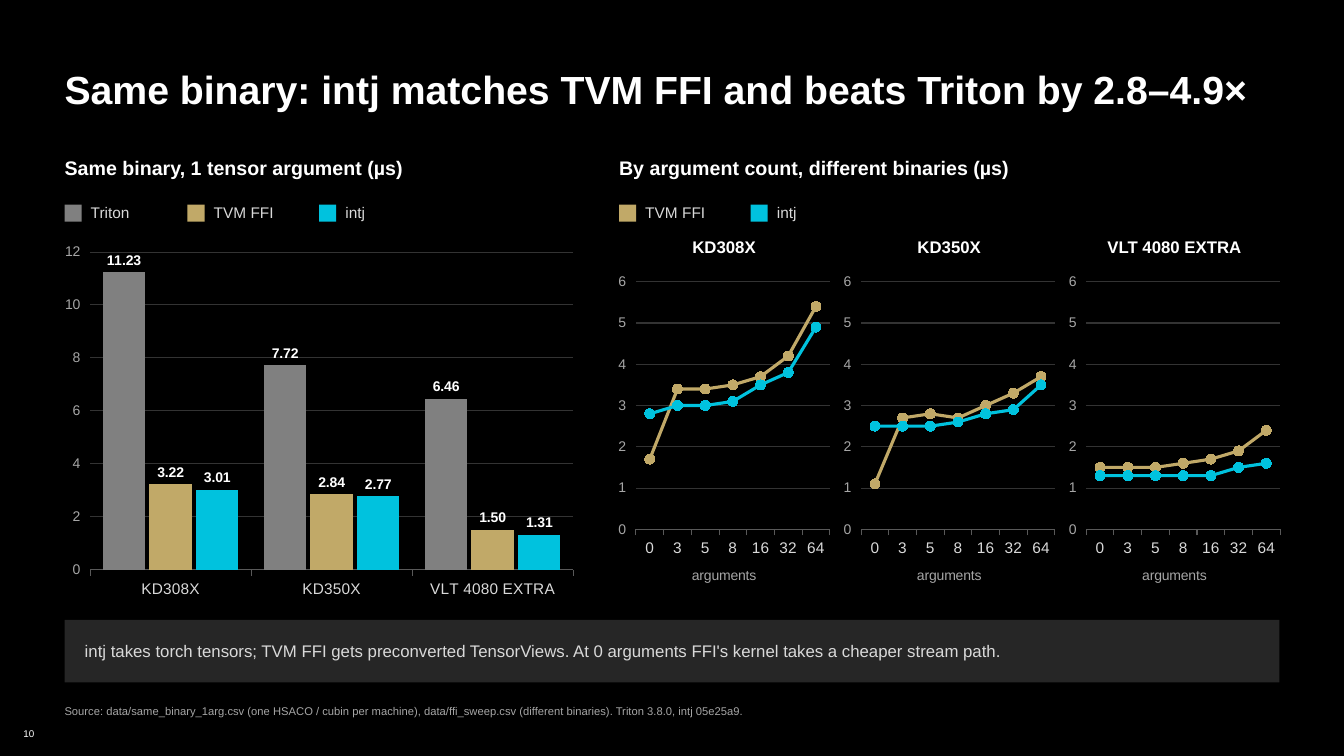
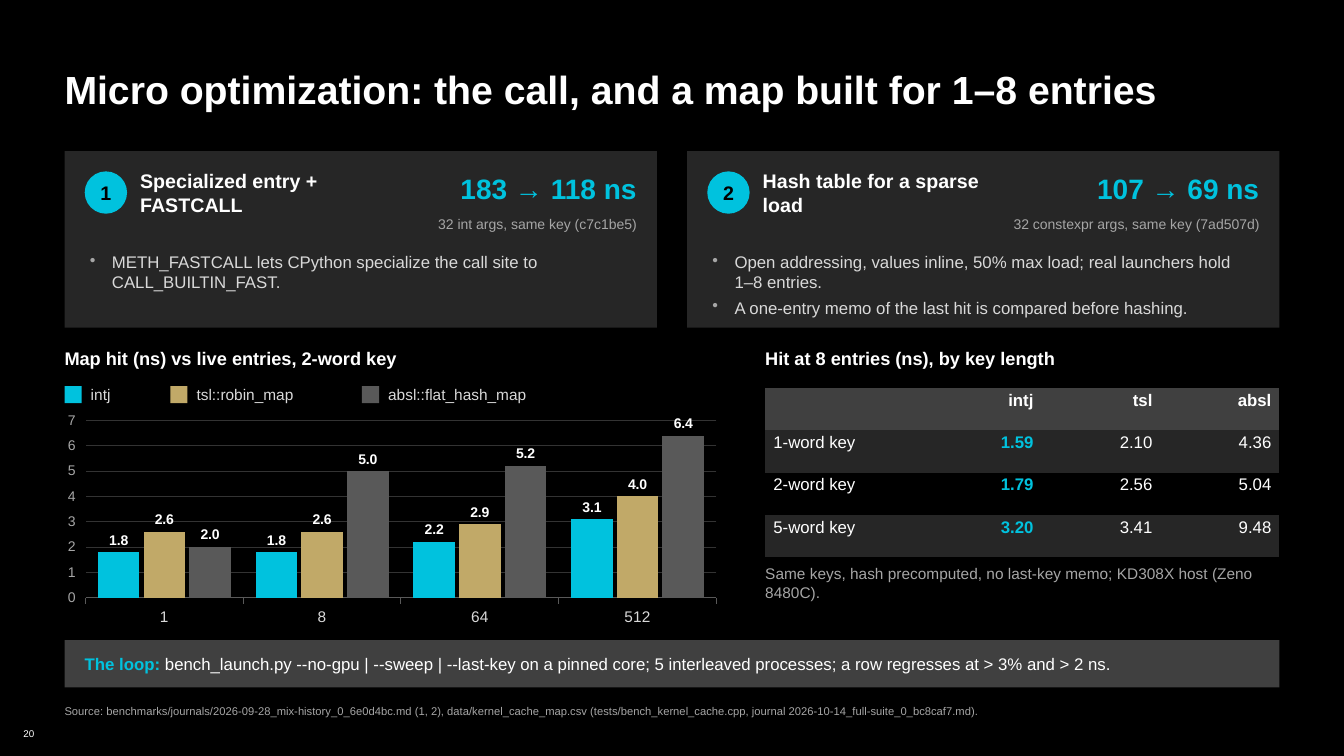
from lxml import etree
from pptx import Presentation
from pptx.chart.data import CategoryChartData
from pptx.dml.color import RGBColor
from pptx.enum.chart import XL_CHART_TYPE, XL_LABEL_POSITION, XL_MARKER_STYLE, XL_TICK_MARK
from pptx.enum.shapes import MSO_SHAPE
from pptx.enum.text import MSO_ANCHOR, PP_ALIGN
from pptx.oxml.ns import qn
from pptx.util import Pt

LEFT, CENTER, RIGHT = PP_ALIGN.LEFT, PP_ALIGN.CENTER, PP_ALIGN.RIGHT
TOP, MID = MSO_ANCHOR.TOP, MSO_ANCHOR.MIDDLE
RECT, OVAL = MSO_SHAPE.RECTANGLE, MSO_SHAPE.OVAL
BARS, LINES = XL_CHART_TYPE.COLUMN_CLUSTERED, XL_CHART_TYPE.LINE_MARKERS
OUT, ABOVE = XL_TICK_MARK.OUTSIDE, XL_LABEL_POSITION.OUTSIDE_END
DOT = XL_MARKER_STYLE.CIRCLE

PX = 9144  # 100 px to the inch
FONT = "Arial"
BLACK, WHITE, LIGHT, MUTED = "000000", "FFFFFF", "D9D9D9", "A6A6A6"
PANEL, HEAD, GRID, DARK = "262626", "404040", "333333", "595959"
GRAY, GOLD, CYAN = "808080", "C1A968", "00C2DE"
EDGE, WIDE, INSET = 64, 1205, 20

# Slide 10
SAME = {
    "cats": ["KD308X", "KD350X", "VLT 4080 EXTRA"],
    "rows": [
        ("Triton", GRAY, [11.23, 7.72, 6.46]),
        ("TVM FFI", GOLD, [3.22, 2.84, 1.5]),
        ("intj", CYAN, [3.01, 2.77, 1.31]),
    ],
}
COUNTS = ["0", "3", "5", "8", "16", "32", "64"]
SWEEP_KEYS = [("TVM FFI", GOLD), ("intj", CYAN)]
SWEEPS = [
    ("KD308X", [1.7, 3.4, 3.4, 3.5, 3.7, 4.2, 5.4], [2.8, 3, 3, 3.1, 3.5, 3.8, 4.9]),
    ("KD350X", [1.1, 2.7, 2.8, 2.7, 3, 3.3, 3.7], [2.5, 2.5, 2.5, 2.6, 2.8, 2.9, 3.5]),
    ("VLT 4080 EXTRA", [1.5, 1.5, 1.5, 1.6, 1.7, 1.9, 2.4], [1.3, 1.3, 1.3, 1.3, 1.3, 1.5, 1.6]),
]
NOTE = ("intj takes torch tensors; TVM FFI gets preconverted TensorViews. "
        "At 0 arguments FFI's kernel takes a cheaper stream path.")
SAME_SOURCE = ("Source: data/same_binary_1arg.csv (one HSACO / cubin per machine), "
               "data/ffi_sweep.csv (different binaries). Triton 3.8.0, intj 05e25a9.")

# Slide 20
CARDS = [
    ("Specialized entry + FASTCALL", "183 → 118 ns", "32 int args, same key (c7c1be5)",
     ["METH_FASTCALL lets CPython specialize the call site to CALL_BUILTIN_FAST."]),
    ("Hash table for a sparse load", "107 → 69 ns", "32 constexpr args, same key (7ad507d)",
     ["Open addressing, values inline, 50% max load; real launchers hold 1–8 entries.",
      "A one-entry memo of the last hit is compared before hashing."]),
]
HITS = {
    "cats": ["1", "8", "64", "512"],
    "rows": [
        ("intj", CYAN, [1.8, 1.8, 2.2, 3.1]),
        ("tsl::robin_map", GOLD, [2.6, 2.6, 2.9, 4]),
        ("absl::flat_hash_map", DARK, [2, 5, 5.2, 6.4]),
    ],
}
KEYS = [
    ("", "intj", "tsl", "absl"),
    ("1-word key", "1.59", "2.10", "4.36"),
    ("2-word key", "1.79", "2.56", "5.04"),
    ("5-word key", "3.20", "3.41", "9.48"),
]
KEY_NOTE = "Same keys, hash precomputed, no last-key memo; KD308X host (Zeno 8480C)."
LOOP = [
    ("The loop: ", {"color": CYAN, "bold": True}),
    ("bench_launch.py --no-gpu | --sweep | --last-key on a pinned core; "
     "5 interleaved processes; a row regresses at > 3% and > 2 ns.", {"color": WHITE}),
]
MAP_SOURCE = ("Source: benchmarks/journals/2026-09-28_mix-history_0_6e0d4bc.md (1, 2), "
              "data/kernel_cache_map.csv (tests/bench_kernel_cache.cpp, "
              "journal 2026-10-14_full-suite_0_bc8caf7.md).")


def emu(*vals):
    return [round(v * PX) for v in vals]


def rgb(code):
    return RGBColor.from_string(code)


def style(font, size=12, color=LIGHT, bold=False):
    font.name, font.size, font.bold = FONT, Pt(size), bold
    font.color.rgb = rgb(color)


def paint(fill, color):
    fill.solid()
    fill.fore_color.rgb = rgb(color)


def bullet(para):
    props = para._p.get_or_add_pPr()
    props.set("marL", str(22 * PX))
    props.set("indent", str(-22 * PX))
    tint = etree.SubElement(props, qn("a:buClr"))
    etree.SubElement(tint, qn("a:srgbClr"), val=MUTED)
    etree.SubElement(props, qn("a:buChar"), char="•")


def write(frame, paras, align=LEFT, anchor=TOP, inset=0, dots=False, gap=0, **look):
    """Fill a frame; each paragraph is a string or a list of (text, format) runs."""
    frame.word_wrap = True
    frame.vertical_anchor = anchor
    frame.margin_left = frame.margin_right = inset * PX
    frame.margin_top = frame.margin_bottom = 0
    paras = [paras] if isinstance(paras, str) else paras
    for i, runs in enumerate(paras):
        para = frame.add_paragraph() if i else frame.paragraphs[0]
        if dots:
            bullet(para)
        para.alignment = align
        if i < len(paras) - 1:
            para.space_after = Pt(gap)
        for words, extra in [(runs, {})] if isinstance(runs, str) else runs:
            run = para.add_run()
            run.text = words
            style(run.font, **{**look, **extra})


def text(slide, at, paras, **form):
    write(slide.shapes.add_textbox(*emu(*at)).text_frame, paras, **form)


def block(slide, at, fill, paras=None, kind=RECT, **form):
    shape = slide.shapes.add_shape(kind, *emu(*at))
    shape.shadow.inherit = False
    shape.line.fill.background()
    paint(shape.fill, fill)
    if paras:
        write(shape.text_frame, paras, anchor=MID, **form)


def legend(slide, left, top, items):
    for name, color in items:
        width = 25 + 8.5 * len(name)
        block(slide, (left, top + 8, 17, 17), color)
        text(slide, (left + 26, top, width, 32), name, size=11, anchor=MID)
        left += 26 + width + 20


def chart(slide, at, kind, cats, rows, form="General"):
    """Add a chart with the shared axes; rows hold (name, colour, values)."""
    data = CategoryChartData()
    data.categories = cats
    for name, _, vals in rows:
        data.add_series(name, vals)
    graph = slide.shapes.add_chart(kind, *emu(*at), data).chart
    graph.has_legend = graph.has_title = False
    style(graph.font, 11)
    clear = etree.Element(qn("c:spPr"))
    etree.SubElement(clear, qn("a:noFill"))
    etree.SubElement(etree.SubElement(clear, qn("a:ln")), qn("a:noFill"))
    graph.element.find(qn("c:txPr")).addprevious(clear)

    base, side = graph.category_axis, graph.value_axis
    base.major_tick_mark = side.major_tick_mark = OUT
    style(base.tick_labels.font, 11)
    style(side.tick_labels.font, 10, MUTED)
    side.minimum_scale = 0
    side.format.line.fill.background()
    for line, color in ((base.format.line, DARK), (side.major_gridlines.format.line, GRID)):
        line.color.rgb = rgb(color)
        line.width = Pt(0.75)

    plot = graph.plots[0]
    plot.vary_by_categories = False
    if kind == BARS:
        plot.gap_width, plot.overlap = 60, -10
    for row, (_, color, _) in zip(plot.series, rows):
        if kind == BARS:
            row.invert_if_negative = False
            paint(row.format.fill, color)
            tags = row.data_labels
            tags.show_value, tags.position = True, ABOVE
            tags.number_format, tags.number_format_is_linked = form, False
            style(tags.font, 10, WHITE, True)
        else:
            row.smooth = False
            row.format.line.color.rgb = rgb(color)
            row.format.line.width = Pt(2.25)
            row.marker.style, row.marker.size = DOT, 7
            paint(row.marker.format.fill, color)
            row.marker.format.line.color.rgb = rgb(color)
    return graph


def table(slide, at, rows, first):
    """Add a striped table whose first column is `first` px wide."""
    wide = len(rows[0])
    frame = slide.shapes.add_table(len(rows), wide, *emu(*at))
    for node in frame.element.iter(qn("a:tableStyleId")):
        node.text = "{2D5ABB26-0587-4C30-8999-92F81FD0307C}"
    grid = frame.table
    for c, col in enumerate(grid.columns):
        col.width = emu((at[2] - first) / (wide - 1) if c else first)[0]
    for r, row in enumerate(rows):
        for c, words in enumerate(row):
            cell = grid.cell(r, c)
            paint(cell.fill, HEAD if r == 0 else PANEL if r % 2 else BLACK)
            cell.margin_left, cell.margin_right = emu(8, 8)
            cell.margin_top, cell.margin_bottom = emu(3, 3)
            if words:
                para = cell.text_frame.paragraphs[0]
                para.alignment = RIGHT if c else LEFT
                run = para.add_run()
                run.text = words
                style(run.font, 12, CYAN if r and c == 1 else WHITE, r == 0 or c == 1)


def page(deck, title, number, source):
    slide = deck.slides.add_slide(deck.slide_layouts[5])
    head = slide.shapes.title
    head.left, head.top, head.width, head.height = emu(EDGE, 65, WIDE, 47)
    write(head.text_frame, title, size=28, color=WHITE, bold=True)
    text(slide, (EDGE, 693, 1090, 25), source, size=8, color=MUTED, anchor=MID)
    text(slide, (4, 717, 30, 21), number, size=7, color=WHITE, align=RIGHT, anchor=MID)
    return slide


def same_page(deck):
    slide = page(deck, "Same binary: intj matches TVM FFI and beats Triton by 2.8–4.9×", "10", SAME_SOURCE)
    mid, span, gap = 614, 655, 15
    big = {"size": 14, "color": WHITE, "bold": True}
    text(slide, (EDGE, 155, 515, 35), "Same binary, 1 tensor argument (µs)", **big)
    legend(slide, EDGE, 195, [row[:2] for row in SAME["rows"]])
    chart(slide, (54, 235, 525, 365), BARS, **SAME, form="0.00")

    text(slide, (mid, 155, span, 35), "By argument count, different binaries (µs)", **big)
    legend(slide, mid, 195, SWEEP_KEYS)
    width = (span - gap * (len(SWEEPS) - 1)) / len(SWEEPS)
    for i, (name, *vals) in enumerate(SWEEPS):
        left = mid + i * (width + gap)
        text(slide, (left, 235, width, 30), name, align=CENTER, color=WHITE, bold=True)
        rows = [(*key, nums) for key, nums in zip(SWEEP_KEYS, vals)]
        graph = chart(slide, (left - 5, 265, width + 10, 335), LINES, COUNTS, rows)
        graph.value_axis.maximum_scale = 6
        label = graph.category_axis.axis_title.text_frame.paragraphs[0].add_run()
        label.text = "arguments"
        style(label.font, 10, MUTED)
    block(slide, (EDGE, 615, WIDE, 62), PANEL, NOTE, inset=INSET)


def map_page(deck):
    slide = page(deck, "Micro optimization: the call, and a map built for 1–8 entries", "20", MAP_SOURCE)
    gap = 30
    width = (WIDE - gap) / 2
    for i, (name, gain, case, notes) in enumerate(CARDS):
        left = EDGE + i * (width + gap)
        end = left + width - INSET
        block(slide, (left, 150, width, 175), PANEL)
        block(slide, (left + INSET, 170, 42, 42), CYAN, str(i + 1), OVAL,
              align=CENTER, size=14, color=BLACK, bold=True)
        text(slide, (left + 75, 170, 258, 42), name, size=14, color=WHITE, bold=True, anchor=MID)
        text(slide, (end - 240, 162, 240, 50), gain, size=20, color=CYAN, bold=True,
             align=RIGHT, anchor=MID)
        text(slide, (end - 350, 214, 350, 30), case, size=10, color=MUTED, align=RIGHT)
        text(slide, (left + 25, 250, width - 50, 70), notes, dots=True, gap=4)

    right, span = 759, 510
    big = {"size": 13, "color": WHITE, "bold": True}
    text(slide, (EDGE, 345, 660, 30), "Map hit (ns) vs live entries, 2-word key", **big)
    legend(slide, EDGE, 375, [row[:2] for row in HITS["rows"]])
    chart(slide, (54, 405, 670, 220), BARS, **HITS, form="0.0")
    text(slide, (right, 345, span, 30), "Hit at 8 entries (ns), by key length", **big)
    table(slide, (right, 385, span, 168), KEYS, 156)
    text(slide, (right, 560, span, 60), KEY_NOTE, size=11, color=MUTED)
    block(slide, (EDGE, 635, WIDE, 47), HEAD, [LOOP], inset=INSET)


def main():
    deck = Presentation()
    deck.slide_width, deck.slide_height = emu(1333, 750)
    paint(deck.slide_master.background.fill, BLACK)
    same_page(deck)
    map_page(deck)
    deck.save("out.pptx")


if __name__ == "__main__":
    main()
